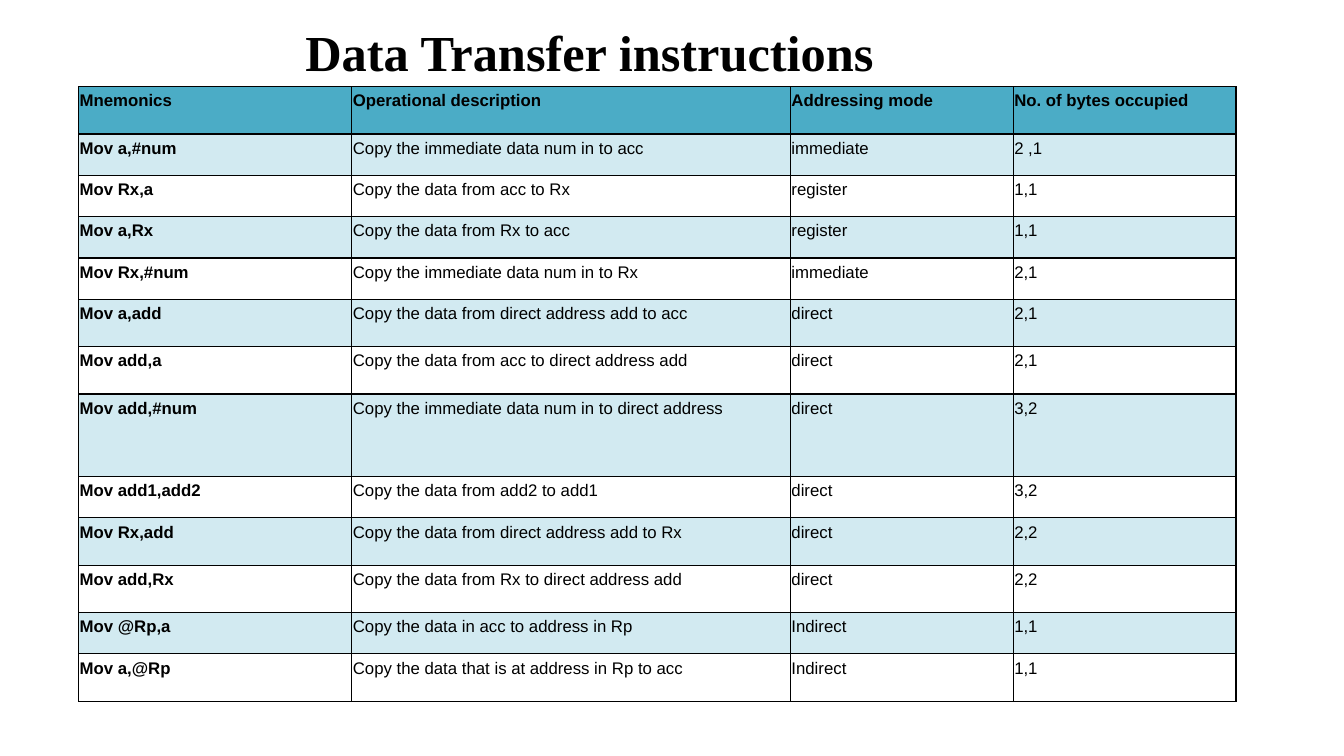
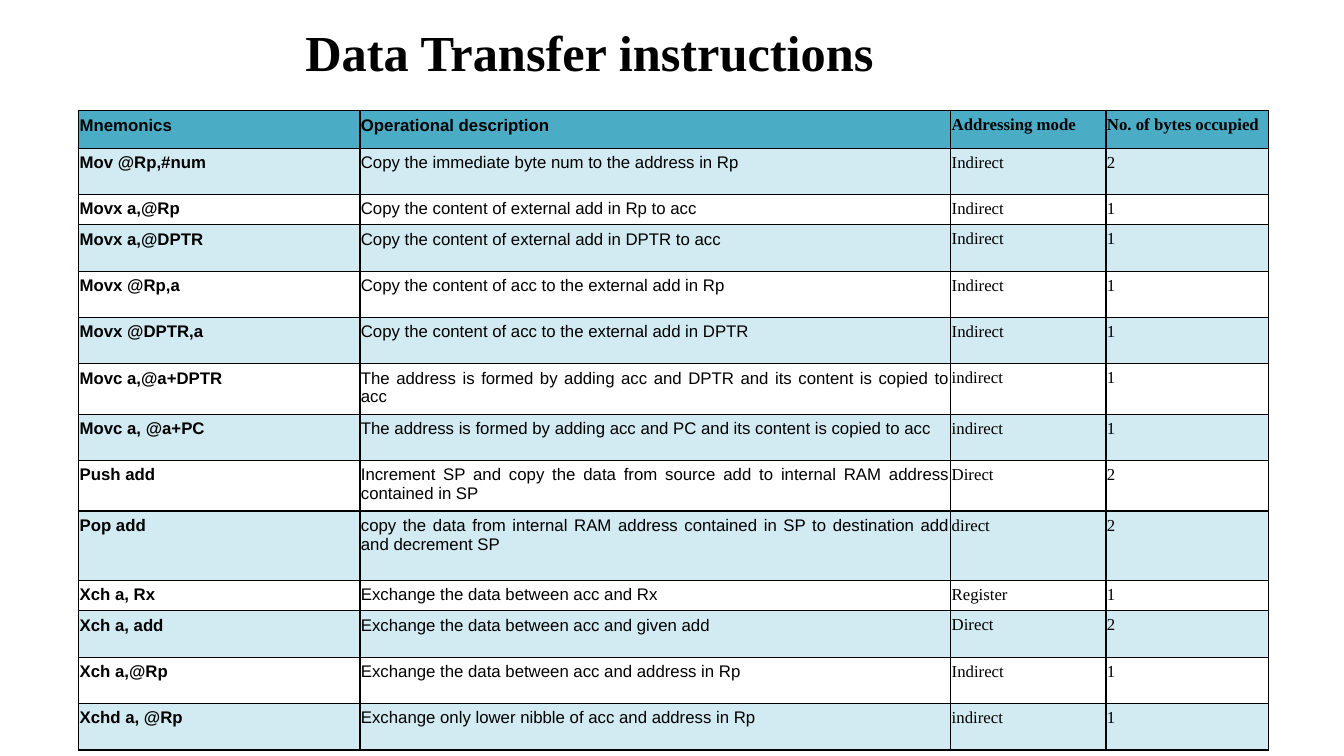
from lxml import etree
from pptx import Presentation
from pptx import util as u
from pptx.dml.color import RGBColor
from pptx.enum import text
from pptx.oxml import ns

BLACK = RGBColor(0x00, 0x00, 0x00)
TEAL = RGBColor(0x4B, 0xAC, 0xC6)
PALE = RGBColor(0xD2, 0xEA, 0xF1)
SANS = "Arial"
SERIF = "Times New Roman"
TITLE = "Data Transfer instructions"
HEADER = ("Mnemonics", "Operational description", "Addressing mode", "No. of bytes occupied")

MOVES = [
    ("Mov a,#num", "Copy the immediate data num in to acc", "immediate", "2 ,1"),
    ("Mov Rx,a", "Copy the data from acc to Rx", "register", "1,1"),
    ("Mov a,Rx", "Copy the data from Rx to acc", "register", "1,1"),
    ("Mov Rx,#num", "Copy the immediate data num in to Rx", "immediate", "2,1"),
    ("Mov a,add", "Copy the data from direct address add to acc", "direct", "2,1"),
    ("Mov add,a", "Copy the data from acc to direct address add", "direct", "2,1"),
    ("Mov add,#num", "Copy the immediate data num in to direct address", "direct", "3,2"),
    ("Mov add1,add2", "Copy the data from add2 to add1", "direct", "3,2"),
    ("Mov Rx,add", "Copy the data from direct address add to Rx", "direct", "2,2"),
    ("Mov add,Rx", "Copy the data from Rx to direct address add", "direct", "2,2"),
    ("Mov @Rp,a", "Copy the data in acc to address in Rp", "Indirect", "1,1"),
    ("Mov a,@Rp", "Copy the data that is at address in Rp to acc", "Indirect", "1,1"),
]
MOVE_HEIGHTS = [47, 41, 41, 41, 41, 47, 47, 82, 41, 47, 47, 41, 47]

EXCHANGES = [
    ("Mov @Rp,#num", "Copy the immediate byte num to the address in Rp", "Indirect", "2"),
    ("Movx a,@Rp", "Copy the content of external add in Rp to acc", "Indirect", "1"),
    ("Movx a,@DPTR", "Copy the content of external add in DPTR to acc", "Indirect", "1"),
    ("Movx @Rp,a", "Copy the content of acc to the external add in Rp", "Indirect", "1"),
    ("Movx @DPTR,a", "Copy the content of acc to the external add in DPTR", "Indirect", "1"),
    ("Movc a,@a+DPTR",
     "The address is formed by adding acc and DPTR and its content is copied to acc",
     "indirect", "1"),
    ("Movc a, @a+PC",
     "The address is formed by adding acc and PC and its content is copied to acc",
     "indirect", "1"),
    ("Push add",
     "Increment SP and copy the data from source add to internal RAM address contained in SP",
     "Direct", "2"),
    ("Pop add",
     "copy the data from internal RAM address contained in SP to destination add and decrement SP",
     "direct", "2"),
    ("Xch a, Rx", "Exchange the data between acc and Rx", "Register", "1"),
    ("Xch a, add", "Exchange the data between acc and given add", "Direct", "2"),
    ("Xch a,@Rp", "Exchange the data between acc and address in Rp", "Indirect", "1"),
    ("Xchd a, @Rp", "Exchange only lower nibble of acc and address in Rp", "indirect", "1"),
]
EXCHANGE_HEIGHTS = [37, 46, 26] + [46] * 6 + [69, 23] + [46] * 3


def px(n):
    return u.Emu(n * 9144)


class Deck:
    def __init__(self):
        self.prs = Presentation()
        self.prs.slide_width, self.prs.slide_height = px(1333), px(750)

    def slide(self):
        self.s = self.prs.slides.add_slide(self.prs.slide_layouts[6])

    def run(self, p, words, font, size, bold):
        r = p.add_run()
        r.text = words
        r.font.name, r.font.size, r.font.bold = font, u.Pt(size), bold
        r.font.color.rgb = BLACK

    def title(self, words):
        tf = self.s.shapes.add_textbox(px(293), px(16), px(590), px(70)).text_frame
        tf.word_wrap = True
        tf.auto_size = text.MSO_AUTO_SIZE.SHAPE_TO_FIT_TEXT
        self.run(tf.paragraphs[0], words, SERIF, 36, True)

    def borders(self, cell):
        tc_pr = cell._tc.get_or_add_tcPr()
        for side in ("lnL", "lnR", "lnT", "lnB"):
            ln = etree.SubElement(tc_pr, ns.qn(f"a:{side}"), w=str(int(u.Pt(0.96))))
            fill = etree.SubElement(ln, ns.qn("a:solidFill"))
            etree.SubElement(fill, ns.qn("a:srgbClr"), val=str(BLACK))

    def cell(self, cell, words, font, bold, fill):
        cell.margin_left = cell.margin_right = px(1)
        cell.margin_top = cell.margin_bottom = px(5)
        self.borders(cell)
        if fill is None:
            cell.fill.background()
        else:
            cell.fill.solid()
            cell.fill.fore_color.rgb = fill
        p = cell.text_frame.paragraphs[0]
        p.alignment = text.PP_ALIGN.JUSTIFY
        self.run(p, words, font, 12, bold)

    def table(self, top, widths, heights, fonts, body):
        rows = [HEADER] + body
        table = self.s.shapes.add_table(len(rows), len(widths), px(78), px(top),
                                        px(sum(widths)), px(sum(heights))).table
        table.first_row = table.horz_banding = False
        for column, width in zip(table.columns, widths):
            column.width = px(width)
        for i, (row, height) in enumerate(zip(rows, heights)):
            table.rows[i].height = px(height)
            fill = TEAL if i == 0 else PALE if i % 2 else None
            for j, (words, font) in enumerate(zip(row, fonts)):
                self.cell(table.cell(i, j), words, font, i == 0 or j == 0, fill)


def main():
    deck = Deck()
    for top, widths, heights, fonts, body in (
        (86, [271, 435, 221, 221], MOVE_HEIGHTS, [SANS] * 4, MOVES),
        (110, [279, 586, 154, 161], EXCHANGE_HEIGHTS, [SANS, SANS, SERIF, SERIF], EXCHANGES),
    ):
        deck.slide()
        deck.table(top, widths, heights, fonts, body)
        deck.title(TITLE)
    deck.prs.save("out.pptx")


if __name__ == "__main__":
    main()
